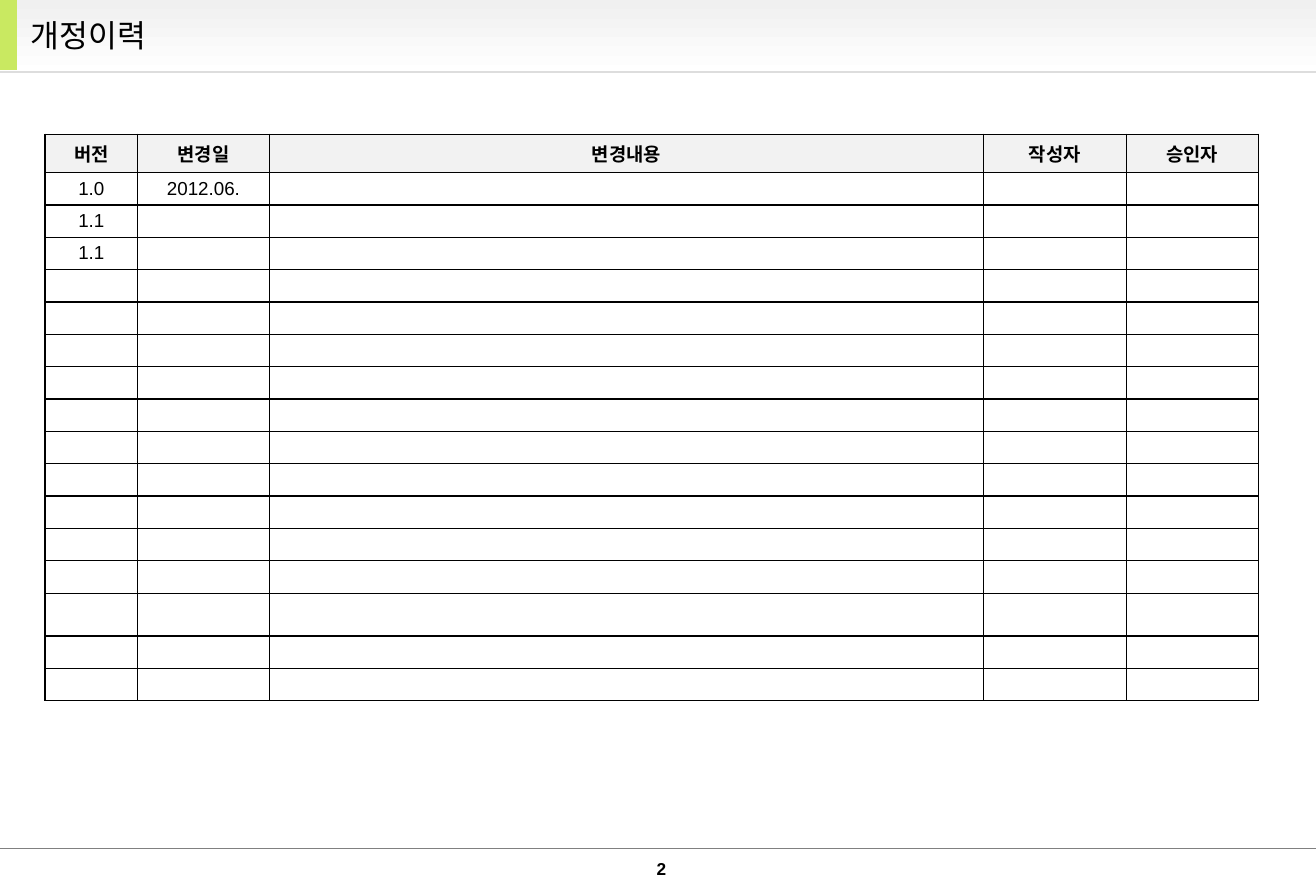
from lxml.etree import SubElement
from pptx import Presentation
from pptx.dml.color import RGBColor
from pptx.enum.shapes import MSO_CONNECTOR, MSO_SHAPE
from pptx.enum.text import MSO_ANCHOR, MSO_AUTO_SIZE, PP_ALIGN
from pptx.oxml import parse_xml
from pptx.oxml.ns import nsdecls, qn
from pptx.util import Inches, Pt

W, H = 11.67, 7.92
BAND_H = 0.62
BLACK, WHITE = "000000", "FFFFFF"

COLS = [0.82, 1.17, 6.33, 1.27, 1.17]
HEADER = ["버전", "변경일", "변경내용", "작성자", "승인자"]
REVISIONS = [["1.0", "2012.06."], ["1.1"], ["1.1"]]
N_ROWS, TALL_ROW = 17, 14
TABLE_H, HEADER_H, TALL_H = 5.03, 0.34, 0.38
ROW_H = (TABLE_H - HEADER_H - TALL_H) / (N_ROWS - 2)


def rgb(value):
    return RGBColor.from_string(value)


def set_font(p, size, name="Arial", bold=False):
    font = p.font
    font.size, font.name, font.bold = Pt(size), name, bold
    font.color.rgb = rgb(BLACK)
    SubElement(font._element, qn("a:ea")).set("typeface", "Noto Sans CJK KR")


def add_block(s, width, height):
    """Borderless rectangle in the top left corner."""
    sp = s.shapes.add_shape(MSO_SHAPE.RECTANGLE, 0, 0, Inches(width), Inches(height))
    sp.shadow.inherit = False
    sp.line.fill.background()
    return sp


def add_rule(s, y, color, weight):
    """Horizontal line over the full slide width."""
    line = s.shapes.add_connector(
        MSO_CONNECTOR.STRAIGHT, 0, Inches(y), Inches(W), Inches(y))
    line.line.color.rgb = rgb(color)
    line.line.width = Pt(weight)
    SubElement(line._element.spPr, qn("a:effectLst"))


def add_title(s, text):
    title = s.shapes.title
    title.left, title.top = Inches(0.17), 0
    title.width, title.height = Inches(0.9 * W), Inches(BAND_H)
    s.shapes._spTree.append(title._element)  # in front of the band
    tf = title.text_frame
    tf.text = text
    tf.auto_size = MSO_AUTO_SIZE.NONE
    tf.vertical_anchor = MSO_ANCHOR.MIDDLE
    p = tf.paragraphs[0]
    p.alignment = PP_ALIGN.LEFT
    set_font(p, 20, "Noto Sans CJK KR")


def add_page_number(s, text):
    box = s.shapes.add_textbox(Inches(5.77), Inches(7.63), Inches(0.19), Inches(0.17))
    tf = box.text_frame
    tf.margin_left = tf.margin_right = tf.margin_top = tf.margin_bottom = 0
    tf.word_wrap = False
    tf.text = text
    p = tf.paragraphs[0]
    p.alignment = PP_ALIGN.CENTER
    p.line_spacing = 0.9
    set_font(p, 11, bold=True)


def format_cell(cell, text, is_header):
    cell.text = text
    cell.vertical_anchor = MSO_ANCHOR.MIDDLE
    cell.margin_top = cell.margin_bottom = Inches(0.04)
    tc_pr = cell._tc.get_or_add_tcPr()
    for side in "LRTB":
        tc_pr.append(parse_xml(
            f'<a:ln{side} {nsdecls("a")} w="12700"><a:solidFill>'
            f'<a:srgbClr val="{BLACK}"/></a:solidFill></a:ln{side}>'))
    cell.fill.solid()
    cell.fill.fore_color.rgb = rgb("F2F2F2" if is_header else WHITE)
    p = cell.text_frame.paragraphs[0]
    p.alignment = PP_ALIGN.CENTER
    set_font(p, 12, bold=is_header)
    if not text:  # keeps empty rows as low as filled ones
        SubElement(p._p, qn("a:endParaRPr")).set("sz", "1200")


def add_history_table(s):
    frame = s.shapes.add_table(
        N_ROWS, len(COLS), Inches(0.4), Inches(1.19), Inches(sum(COLS)), Inches(TABLE_H))
    table = frame.table
    table.horz_banding = False
    for column, width in zip(table.columns, COLS):
        column.width = Inches(width)
    heights = {0: HEADER_H, TALL_ROW: TALL_H}
    texts = [HEADER] + REVISIONS
    for i, row in enumerate(table.rows):
        row.height = Inches(heights.get(i, ROW_H))
        values = texts[i] if i < len(texts) else []
        for j, cell in enumerate(row.cells):
            format_cell(cell, values[j] if j < len(values) else "", i == 0)


def main():
    prs = Presentation()
    prs.slide_width, prs.slide_height = Inches(W), Inches(H)
    s = prs.slides.add_slide(prs.slide_layouts[5])

    # Footer
    add_page_number(s, "2")
    add_rule(s, 0.95 * H, "808080", 0.75)

    # Title band
    band = add_block(s, W, 0.66)
    band.fill.gradient()
    band.fill.gradient_angle = 270
    for stop, color in zip(band.fill.gradient_stops, ["F0F0F0", WHITE]):
        stop.color.rgb = rgb(color)
    add_rule(s, 0.64, "DDDDDD", 1.5)
    accent = add_block(s, 0.15, BAND_H)
    accent.fill.solid()
    accent.fill.fore_color.rgb = rgb("C9E961")
    add_title(s, "개정이력")

    # Revision history
    add_history_table(s)

    prs.save("out.pptx")


if __name__ == "__main__":
    main()
